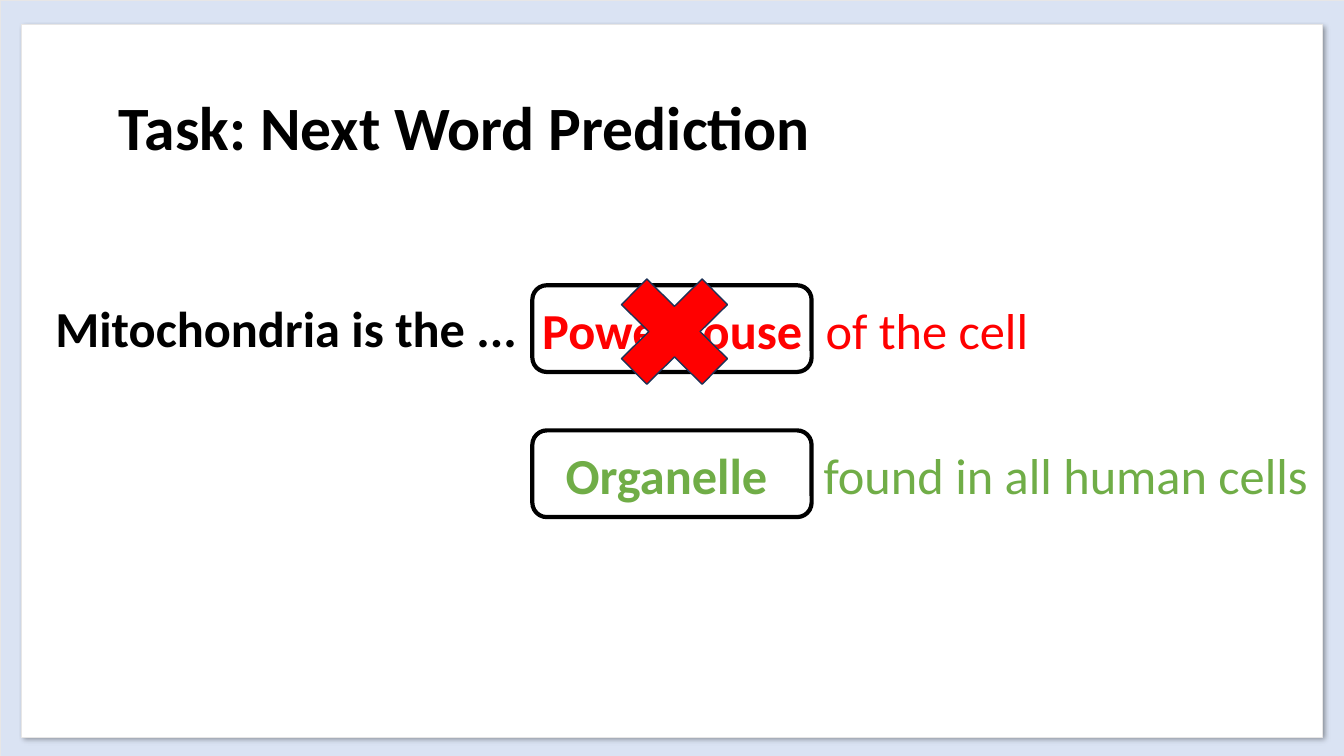
"""Build a slide on next word prediction with a rejected and an accepted word."""
from lxml import etree
from pptx import Presentation
from pptx import util as u
from pptx.dml.color import RGBColor
from pptx.enum import shapes, text
from pptx.oxml.ns import qn

COLORS = {"border": "DAE3F3", "panel": "FFFFFF", "edge": "E7E6E6", "ink": "000000",
          "wrong": "FF0000", "right": "70AD47", "cross_edge": "1E3256"}
WIDTH, HEIGHT = u.Inches(13.33), u.Inches(7.5)

TITLE = "Task: Next Word Prediction"
PROMPT = "Mitochondria is the ..."
ANSWERS = [
    {"word": "Powerhouse", "rest": "of the cell", "color": "wrong",
     "left": 39.61, "width": 38.33, "tab": 2.81},
    {"word": "Organelle", "rest": "found in all human cells", "color": "right",
     "left": 41.34, "width": 58.2, "tab": 2.56},
]
PANELS = [("border", (0, 0, 100, 100)), ("panel", (1.58, 3.2, 96.77, 94.27))]
TITLE_AREA = (8.1, 7.6, 86.27, 19.33)
PROMPT_AREA = (3.38, 38.67, 36.31, 9.47)
CROSS_AREA = (44.41, 33.73, 11.55, 20.27)
BOX_LEFT, BOX_WIDTH, BOX_HEIGHT = 39.61, 20.78, 11.47
FIRST_ROW, ROW_PITCH = 37.73, 19.2
TEXT_OFFSET, TEXT_HEIGHT = 1.13, 9.47


def rgb(name):
    """Return the named colour."""
    return RGBColor.from_string(COLORS[name])


def place(area):
    """Turn percentages of the slide into left, top, width and height."""
    return [u.Emu(round(share * side / 100))
            for share, side in zip(area, (WIDTH, HEIGHT, WIDTH, HEIGHT))]


def add_preset(parent, kind, area, line, line_width, fill=None):
    """Add a preset shape without a shadow."""
    shape = parent.shapes.add_shape(kind, *place(area))
    shape.shadow.inherit = False
    if fill:
        shape.fill.solid()
        shape.fill.fore_color.rgb = rgb(fill)
    else:
        shape.fill.background()
    shape.line.color.rgb = rgb(line)
    shape.line.width = u.Pt(line_width)
    return shape


def add_drop_shadow(shape):
    """Give a shape a soft shadow to its lower right."""
    effects = shape.element.spPr.find(qn("a:effectLst"))
    shadow = etree.SubElement(effects, qn("a:outerShdw"), blurRad=str(u.Pt(4)),
                              dist=str(u.Pt(3)), dir="2700000", algn="tl", rotWithShape="0")
    color = etree.SubElement(shadow, qn("a:srgbClr"), val=COLORS["ink"])
    etree.SubElement(color, qn("a:alpha"), val="40000")


def write(shape, *runs, size=36, color="ink", tab=None, anchor=text.MSO_ANCHOR.TOP,
          spacing=1.0):
    """Write one paragraph, its first run bold and the others regular."""
    frame = shape.text_frame
    frame.word_wrap = True
    frame.auto_size = text.MSO_AUTO_SIZE.NONE
    frame.vertical_anchor = anchor
    paragraph = frame.paragraphs[0]
    paragraph.alignment = text.PP_ALIGN.LEFT
    paragraph.line_spacing = spacing
    if tab:
        stops = etree.SubElement(paragraph._p.get_or_add_pPr(), qn("a:tabLst"))
        etree.SubElement(stops, qn("a:tab"), pos=str(u.Inches(tab)), algn="l")
    for index, words in enumerate(runs):
        run = paragraph.add_run()
        run.text = words
        run.font.name = "Calibri"
        run.font.size = u.Pt(size)
        run.font.bold = index == 0
        run.font.color.rgb = rgb(color)


def main():
    """Compose and save the slide."""
    presentation = Presentation()
    presentation.slide_width, presentation.slide_height = WIDTH, HEIGHT
    slide = presentation.slides.add_slide(presentation.slide_layouts.get_by_name("Title Only"))

    backdrop = slide.shapes.add_group_shape()
    for fill, area in PANELS:
        add_drop_shadow(add_preset(backdrop, shapes.MSO_SHAPE.RECTANGLE, area, "edge", 0.25, fill))

    title = slide.shapes.title
    title.left, title.top, title.width, title.height = place(TITLE_AREA)
    write(title, TITLE, size=44, anchor=text.MSO_ANCHOR.MIDDLE, spacing=0.9)
    backdrop.element.addnext(title.element)

    write(slide.shapes.add_textbox(*place(PROMPT_AREA)), PROMPT)
    for row, answer in enumerate(ANSWERS):
        top = FIRST_ROW + row * ROW_PITCH
        add_preset(slide, shapes.MSO_SHAPE.ROUNDED_RECTANGLE,
                   (BOX_LEFT, top, BOX_WIDTH, BOX_HEIGHT), "ink", 3)
        area = (answer["left"], top + TEXT_OFFSET, answer["width"], TEXT_HEIGHT)
        write(slide.shapes.add_textbox(*place(area)), answer["word"], "\t" + answer["rest"],
              color=answer["color"], tab=answer["tab"])

    add_preset(slide, shapes.MSO_SHAPE.MATH_MULTIPLY, CROSS_AREA, "cross_edge", 1, "wrong")
    presentation.save("out.pptx")


if __name__ == "__main__":
    main()
